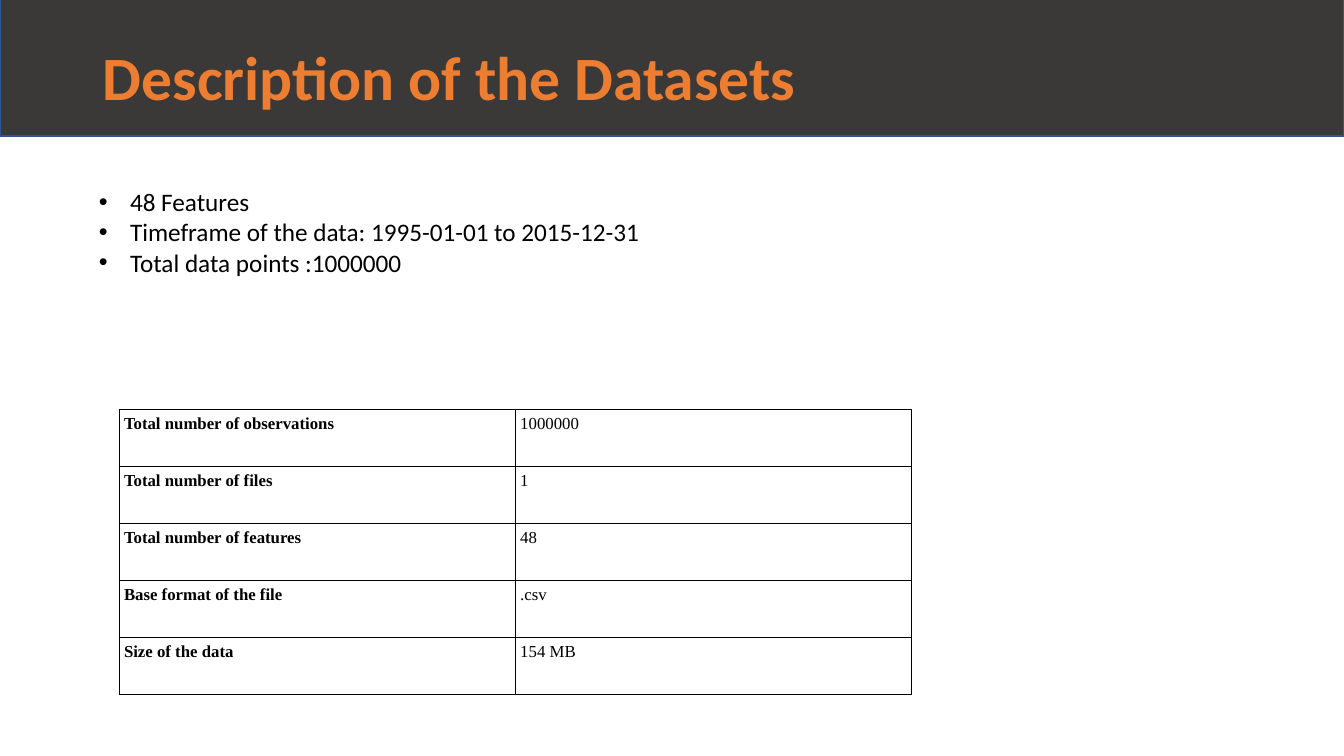
import pptx
import pptx.dml.color
import pptx.enum.shapes
import pptx.enum.text
import pptx.oxml
import pptx.oxml.ns
import pptx.util

WIDTH, HEIGHT = 13.33, 7.5
DARK, BLUE, ORANGE, BLACK = "3B3838", "325491", "ED7D31", "000000"
FEATURES = [
    "48 Features",
    "Timeframe of the data: 1995-01-01 to 2015-12-31",
    "Total data points :1000000",
]
FACTS = [
    ("Total number of observations", "1000000"),
    ("Total number of files", "1"),
    ("Total number of features", "48"),
    ("Base format of the file", ".csv"),
    ("Size of the data", "154 MB"),
]


def color(hex_code):
    """Turn a hex string into a colour."""
    return pptx.dml.color.RGBColor.from_string(hex_code)


def apply(target, formats):
    """Set every attribute named in a dict of format values."""
    for name, value in formats.items():
        setattr(target, name, value)


def place(box):
    """Turn a box in inches into a dict of position values."""
    return dict(zip(("left", "top", "width", "height"), map(pptx.util.Inches, box)))


def style_font(font, name, size, hex_code, bold=False):
    """Format a font."""
    apply(font, {"name": name, "size": pptx.util.Pt(size), "bold": bold})
    font.color.rgb = color(hex_code)


def add_header(slide, box):
    """Draw the dark band with the heading on it."""
    left, top, width, height = box
    band = slide.shapes.add_shape(
        pptx.enum.shapes.MSO_SHAPE.RECTANGLE, **place(box))
    band.shadow.inherit = False
    band.fill.solid()
    band.fill.fore_color.rgb = color(DARK)
    band.line.color.rgb = color(BLUE)
    band.line.width = pptx.util.Pt(1)
    slide.shapes._spTree.insert(2, band._element)

    heading = slide.shapes.title
    apply(heading, place((left + 0.92, top + 0.21, width - 1.83, height - 0.04)))
    heading.text_frame.text = "Description of the Datasets"
    apply(heading.text_frame, {
        "vertical_anchor": pptx.enum.text.MSO_ANCHOR.MIDDLE,
        "auto_size": pptx.enum.text.MSO_AUTO_SIZE.NONE,
        "word_wrap": True,
    })
    line = heading.text_frame.paragraphs[0]
    apply(line, {"alignment": pptx.enum.text.PP_ALIGN.LEFT, "line_spacing": 0.9})
    style_font(line.runs[0].font, "Calibri", 44, ORANGE, True)


def add_features(slide, box):
    """Fill the body with the bulleted features."""
    body = slide.placeholders[1]
    apply(body, place(box))
    body.text_frame.text = "\n".join(FEATURES)
    apply(body.text_frame, {
        "margin_top": pptx.util.Inches(0.35),
        "auto_size": pptx.enum.text.MSO_AUTO_SIZE.NONE,
        "word_wrap": False,
    })
    indent = pptx.util.Inches(0.31)
    for feature in body.text_frame.paragraphs:
        apply(feature, {"space_before": pptx.util.Pt(0), "line_spacing": 1.0})
        properties = feature._p.get_or_add_pPr()
        properties.set("marL", str(indent))
        properties.set("indent", str(-indent))
        style_font(feature.runs[0].font, "Calibri", 18, BLACK)


def add_borders(cell):
    """Draw a thin line on each side of a cell."""
    properties = cell._tc.get_or_add_tcPr()
    for position, side in enumerate(("lnL", "lnR", "lnT", "lnB")):
        properties.insert(position, pptx.oxml.parse_xml(
            f'<a:{side} {pptx.oxml.ns.nsdecls("a")} w="{pptx.util.Pt(0.33)}">'
            f'<a:solidFill><a:srgbClr val="{BLACK}"/></a:solidFill></a:{side}>'))


def add_facts(slide, box):
    """Build the table of labels and values."""
    table = slide.shapes.add_table(len(FACTS), len(FACTS[0]), **place(box)).table
    apply(table, {"first_row": False, "horz_banding": False})
    margins = dict.fromkeys(
        ("margin_left", "margin_right", "margin_top", "margin_bottom"),
        pptx.util.Inches(0.05))
    for row, fact in enumerate(FACTS):
        for column, text in enumerate(fact):
            cell = table.cell(row, column)
            cell.text = text
            apply(cell, margins)
            cell.fill.background()
            add_borders(cell)
            style_font(cell.text_frame.paragraphs[0].runs[0].font,
                       "Times New Roman", 12, BLACK, column == 0)


def main():
    """Build and save the slide."""
    deck = pptx.Presentation()
    apply(deck, {"slide_width": pptx.util.Inches(WIDTH),
                 "slide_height": pptx.util.Inches(HEIGHT)})
    slide = deck.slides.add_slide(deck.slide_layouts[1])
    add_header(slide, (0, -0.14, WIDTH, 1.49))
    add_features(slide, (0.88, 1.5, 5.63, 2.5))
    add_facts(slide, (1.18, 4.06, 7.86, 2.83))
    deck.save("out.pptx")


if __name__ == "__main__":
    main()
